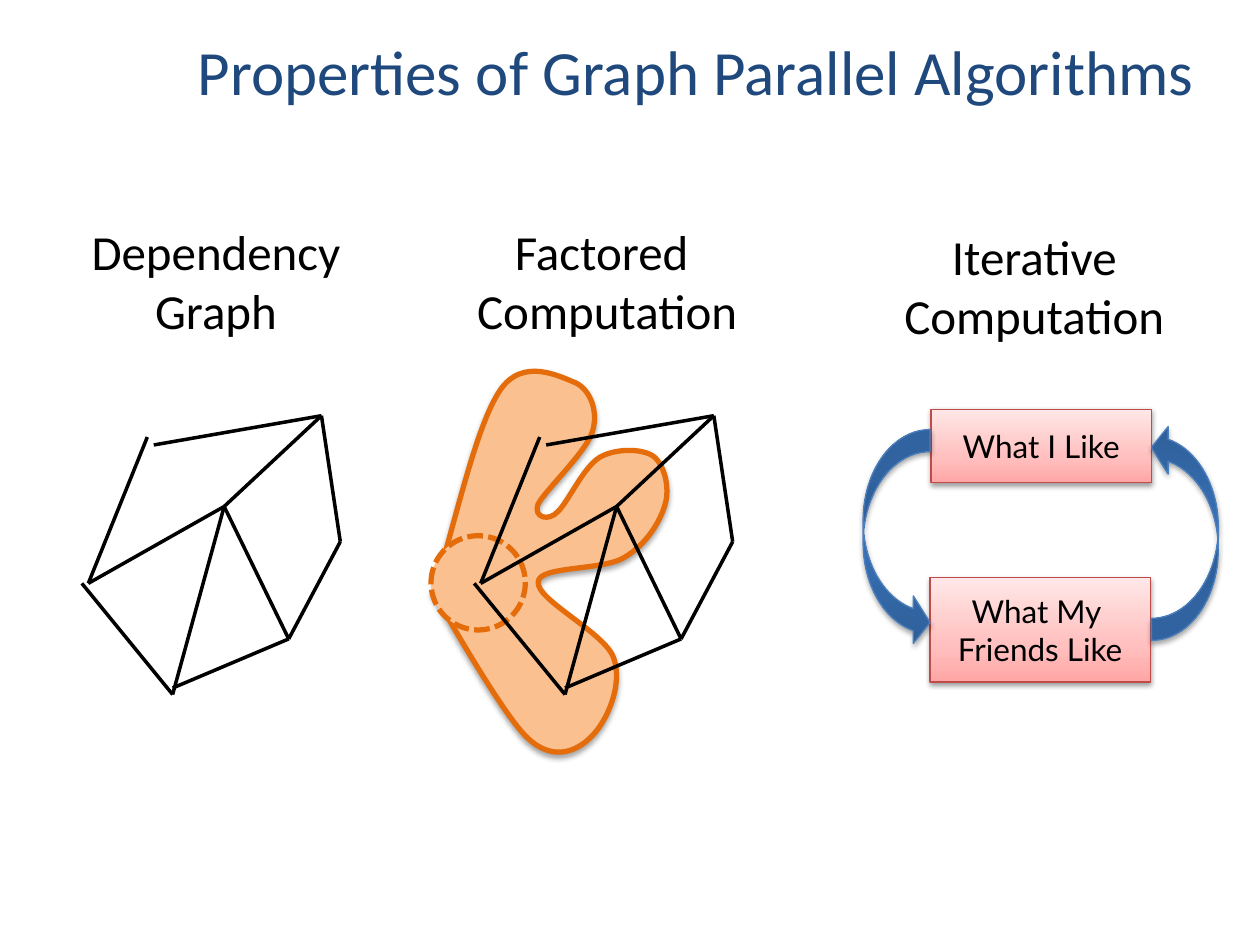
"""Build the slide on properties of graph parallel algorithms."""
from lxml.etree import SubElement
from pptx import Presentation
from pptx.dml.color import RGBColor
from pptx.enum.dml import MSO_LINE
from pptx.enum.shapes import MSO_CONNECTOR, MSO_SHAPE
from pptx.enum.text import MSO_ANCHOR, MSO_AUTO_SIZE, PP_ALIGN
from pptx.oxml.ns import qn
from pptx.util import Cm, Pt

COLORS = {
    "title": "1F497D", "ink": "000000",
    "scope": "FAC090", "scope_edge": "E46C0A",
    "state_edge": "BF4C48", "arrow_edge": "4B7EBC",
}
STATE_STOPS = [(0, "FFA6A5"), (35, "FFC0BF"), (100, "FFE7E7")]
ARROW_STOPS = [(0, "2F5F99"), (80, "3D7CC7"), (100, "3A7CCB")]


def style_shape(shape, fill, edge, width, shadow=None):
    """Fill with one colour or gradient stops, outline, and cast a (percent, distance) shadow."""
    shape.line.color.rgb = RGBColor.from_string(COLORS[edge])
    shape.line.width = Pt(width)
    properties = shape._element.spPr
    if isinstance(fill, str):
        shape.fill.solid()
        shape.fill.fore_color.rgb = RGBColor.from_string(COLORS[fill])
    else:
        shape.fill.background()
        gradient = SubElement(properties, qn("a:gradFill"), rotWithShape="1")
        stops = SubElement(gradient, qn("a:gsLst"))
        for position, color in fill:
            stop = SubElement(stops, qn("a:gs"), pos=str(position * 1000))
            SubElement(stop, qn("a:srgbClr"), val=color)
        SubElement(gradient, qn("a:lin"), ang="16200000", scaled="0")
        properties.replace(properties.find(qn("a:noFill")), gradient)
    shape.shadow.inherit = False
    if shadow:
        percent, distance = shadow
        outer = SubElement(properties.find(qn("a:effectLst")), qn("a:outerShdw"),
                           blurRad=str(Pt(3.1)), dist=str(Pt(distance)),
                           dir="5400000", rotWithShape="0")
        color = SubElement(outer, qn("a:srgbClr"), val=COLORS["ink"])
        SubElement(color, qn("a:alpha"), val=str(percent * 1000))


def format_paragraph(paragraph, font_name, size, color, alignment):
    paragraph.alignment = alignment
    paragraph.font.name = font_name
    paragraph.font.size = Pt(size)
    paragraph.font.color.rgb = RGBColor.from_string(COLORS[color])


presentation = Presentation()
presentation.slide_width = Cm(25.4)
presentation.slide_height = Cm(19.05)
slide = presentation.slides.add_slide(presentation.slide_layouts[5])

scope_left, scope_top, scope_width, scope_height = Cm(8.71), Cm(7.49), Cm(4.72), Cm(7.67)
scope_start = (8.76, 11.89)
scope_curves = [
    ((9.22, 10.36), (9.6, 8.59), (10.08, 7.87)),
    ((10.54, 7.19), (11.28, 7.59), (11.61, 7.72)),
    ((11.91, 7.87), (12.07, 8.31), (11.94, 8.71)),
    ((11.81, 9.12), (10.97, 9.91), (10.85, 10.16)),
    ((10.74, 10.44), (11.07, 10.52), (11.25, 10.31)),
    ((11.46, 10.11), (11.76, 9.42), (12.09, 9.22)),
    ((12.4, 9.04), (12.93, 9.04), (13.16, 9.19)),
    ((13.39, 9.35), (13.51, 9.83), (13.41, 10.16)),
    ((13.31, 10.52), (13.03, 10.97), (12.6, 11.23)),
    ((12.17, 11.51), (10.87, 11.4), (10.85, 11.73)),
    ((10.8, 12.09), (12.19, 12.75), (12.37, 13.26)),
    ((12.57, 13.82), (12.22, 14.55), (11.94, 14.83)),
    ((11.68, 15.11), (11.18, 15.39), (10.64, 14.88)),
    ((10.11, 14.4), (8.71, 11.89), (8.71, 11.89)),
]
builder = slide.shapes.build_freeform(Cm(scope_start[0]), Cm(scope_start[1]))
builder.add_line_segments([(Cm(x), Cm(y)) for _, _, (x, y) in scope_curves], close=False)
scope = builder.convert_to_shape()
scope.left, scope.top, scope.width, scope.height = (
    scope_left, scope_top, scope_width, scope_height)
outline = scope._element.spPr.find(".//" + qn("a:path"))
for segment in list(outline):
    outline.remove(segment)
outline.set("w", str(scope_width))
outline.set("h", str(scope_height))
for command, points in [("a:moveTo", [scope_start])] + [("a:cubicBezTo", c) for c in scope_curves]:
    segment = SubElement(outline, qn(command))
    for x, y in points:
        SubElement(segment, qn("a:pt"), x=str(Cm(x) - scope_left), y=str(Cm(y) - scope_top))
style_shape(scope, "scope", "scope_edge", 3, (35, 1.8))

vertex = slide.shapes.add_shape(MSO_SHAPE.OVAL, Cm(8.69), Cm(10.8), Cm(1.9), Cm(1.9))
style_shape(vertex, "scope", "scope_edge", 3)
vertex.line.dash_style = MSO_LINE.SQUARE_DOT

title = slide.shapes.title
title.left, title.top, title.width, title.height = Cm(3.73), Cm(0.2), Cm(20.83), Cm(2.11)
title.text_frame.text = "Properties of Graph Parallel Algorithms"
title.text_frame.vertical_anchor = MSO_ANCHOR.BOTTOM
title.text_frame.auto_size = MSO_AUTO_SIZE.NONE
format_paragraph(title.text_frame.paragraphs[0], "Calibri", 36, "title", PP_ALIGN.LEFT)

hub, peak, west, base = (4.52, 10.21), (6.48, 8.38), (1.78, 11.76), (3.48, 14.0)
east, southeast = (6.86, 10.92), (5.82, 12.88)
edges = [
    (hub, peak), (west, hub), ((3.1, 8.97), peak), ((2.97, 8.81), west), (hub, base),
    ((1.65, 11.76), base), (peak, east), (east, southeast), (hub, southeast),
    ((3.48, 13.87), southeast),
]
for offset in (0, 7.91):
    graph = slide.shapes.add_group_shape()
    for (x1, y1), (x2, y2) in edges:
        edge = graph.shapes.add_connector(MSO_CONNECTOR.STRAIGHT, Cm(x1 + offset), Cm(y1),
                                          Cm(x2 + offset), Cm(y2))
        edge.line.color.rgb = RGBColor.from_string(COLORS["ink"])
        edge.line.width = Pt(2)
        SubElement(edge._element.spPr, qn("a:effectLst"))

headings = [
    ("Dependency\nGraph", 1.55, 4.34, 5.61),
    ("Factored \nComputation ", 9.32, 4.34, 5.84),
    ("Iterative\nComputation", 17.93, 4.45, 5.84),
]
for words, left, top, width in headings:
    heading = slide.shapes.add_textbox(Cm(left), Cm(top), Cm(width), Cm(2.64)).text_frame
    heading.text = words
    heading.word_wrap = False
    heading.auto_size = MSO_AUTO_SIZE.SHAPE_TO_FIT_TEXT
    for paragraph in heading.paragraphs:
        format_paragraph(paragraph, "Calibri", 28, "ink", PP_ALIGN.CENTER)

cycle = slide.shapes.add_group_shape()
states = [("What I Like", 18.77, 8.25, 1.48), ("What My \vFriends Like", 18.75, 11.64, 2.11)]
for words, left, top, height in states:
    state = cycle.shapes.add_shape(MSO_SHAPE.RECTANGLE, Cm(left), Cm(top), Cm(4.44), Cm(height))
    style_shape(state, STATE_STOPS, "state_edge", 0.75, (38, 1.6))
    state.text_frame.text = words
    state.text_frame.word_wrap = False
    state.text_frame.vertical_anchor = MSO_ANCHOR.MIDDLE
    format_paragraph(state.text_frame.paragraphs[0], "Lato", 18, "ink", PP_ALIGN.CENTER)

for left, top, rotation in [(17.4, 8.66, 0), (23.21, 8.54, 180)]:
    arrow = cycle.shapes.add_shape(MSO_SHAPE.CURVED_RIGHT_ARROW, Cm(left), Cm(top),
                                   Cm(1.35), Cm(4.37))
    for index, proportion in enumerate((0.33, 0.71, 0.25)):
        arrow.adjustments[index] = proportion
    arrow.rotation = rotation
    style_shape(arrow, ARROW_STOPS, "arrow_edge", 0.75, (35, 1.8))

presentation.save("out.pptx")
